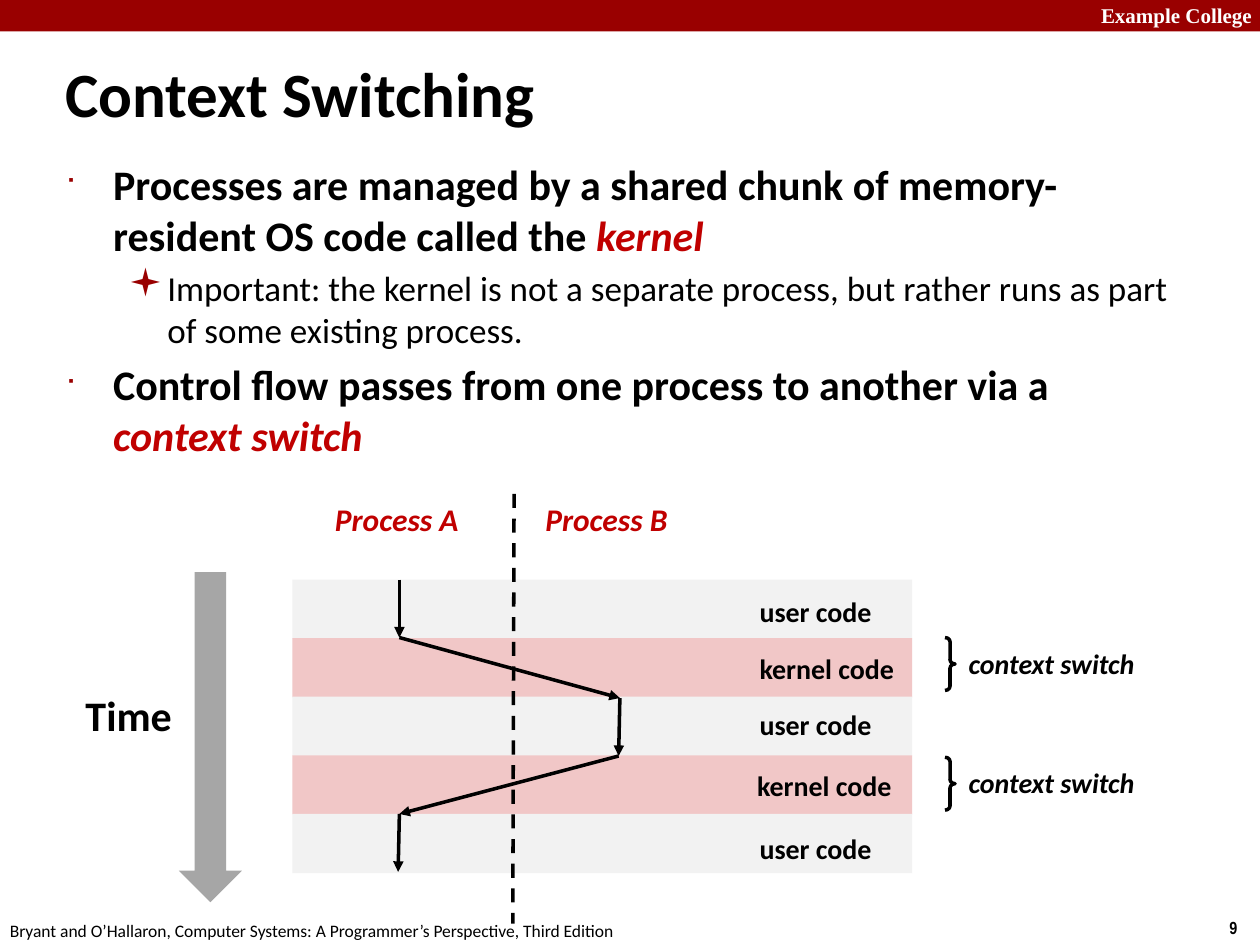
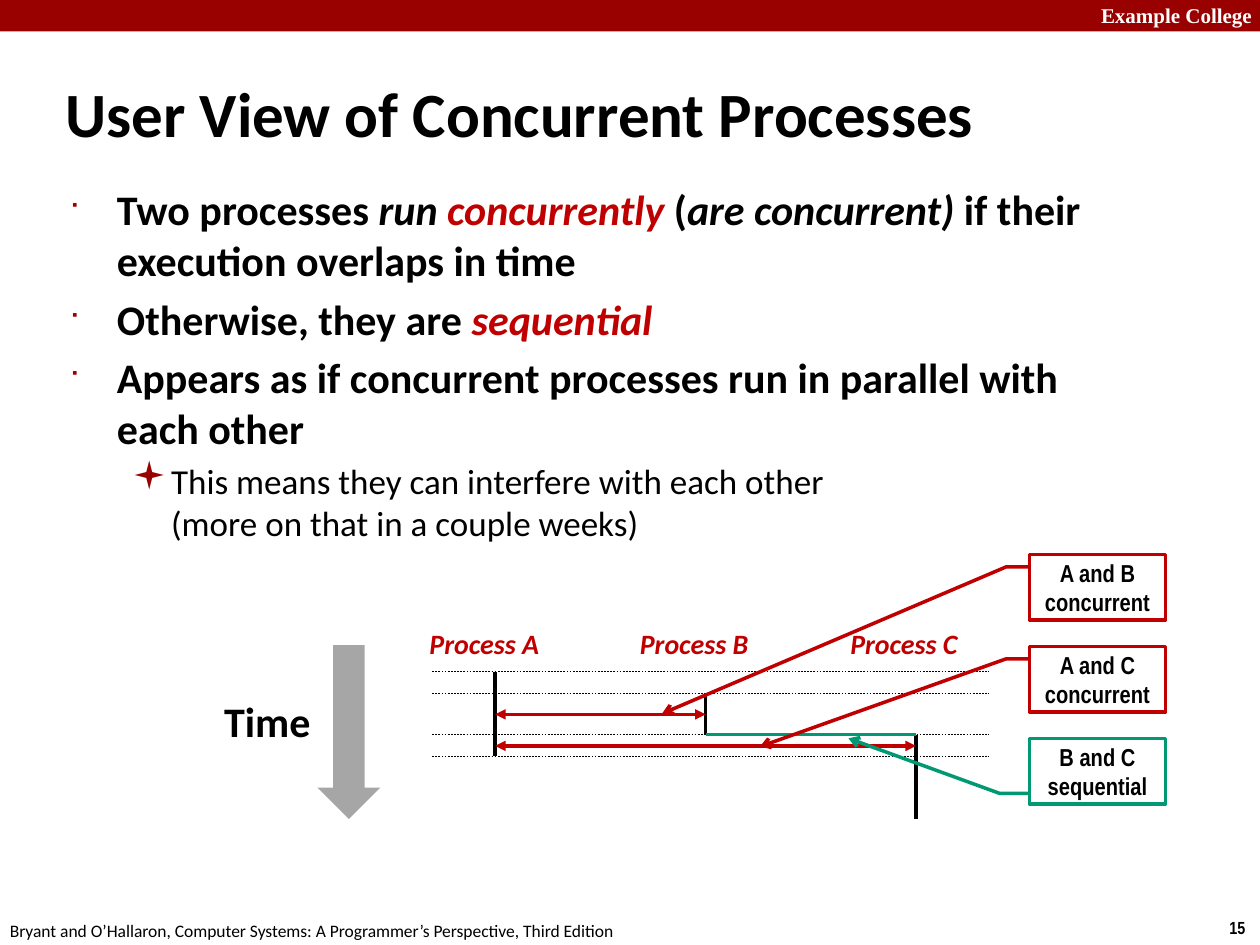
from itertools import pairwise

from lxml.etree import SubElement
from pptx import Presentation
from pptx.dml.color import RGBColor
from pptx.enum.dml import MSO_LINE as Dash
from pptx.enum.shapes import MSO_CONNECTOR as Connector, MSO_SHAPE as Preset
from pptx.enum.text import MSO_ANCHOR as Anchor, MSO_AUTO_SIZE as AutoSize, PP_ALIGN as Align
from pptx.oxml.ns import qn
from pptx.util import Inches, Pt

BLACK, WHITE, BAND, RED = "000000", "FFFFFF", "990000", "C00000"
GREEN, ARROW_GREY, USER_GREY, KERNEL_PINK = "009973", "A6A6A6", "F2F2F2", "F1C7C7"
BODY_FONT, LABEL_FONT, HEADER_FONT = "Calibri", "Arial Narrow", "Times New Roman"
HEADER = "Example College"
FOOTER = "Bryant and O’Hallaron, Computer Systems: A Programmer’s Perspective, Third Edition"
PLAIN, ITALIC, KEY = (BLACK, False), (BLACK, True), (RED, True)
BULLETS = [
    dict(char="■", scale=60, size=24, bold=True, margin=0.38, hang=0.38),
    dict(char="▪", scale=110, size=20, bold=False, margin=0.81, hang=0.31),
]


def color(value):
    return RGBColor.from_string(value)


class Deck:
    def __init__(self):
        self.deck = Presentation()
        self.deck.slide_width, self.deck.slide_height = Inches(10), Inches(7.5)
        self.page = None

    def new_page(self, number, title, title_box):
        self.page = self.deck.slides.add_slide(self.deck.slide_layouts[6])
        self.shape(Preset.RECTANGLE, (0, 0, 10, 0.25), fill=BAND)
        self.label(HEADER, (8.64, -0.03, 1.43, 0.3), 12, WHITE, font=HEADER_FONT)
        self.label(str(number), (9.66, 7.23, 0.34, 0.27), 10, font=LABEL_FONT)
        self.label(FOOTER, (-0.02, 7.25, 5.08, 0.27), 10, bold=False)
        frame = self.text_frame(title_box, wrap=True)
        frame.vertical_anchor = Anchor.MIDDLE
        self.span(frame.paragraphs[0], title, 36)

    def text_frame(self, place, wrap):
        box = self.page.shapes.add_textbox(*map(Inches, place))
        frame = box.text_frame
        frame.word_wrap = wrap
        frame.auto_size = AutoSize.NONE if wrap else AutoSize.SHAPE_TO_FIT_TEXT
        return frame

    def span(self, para, text, size, ink=BLACK, bold=True, italic=False, font=BODY_FONT):
        span = para.add_run()
        span.text = text
        span.font.name, span.font.size = font, Pt(size)
        span.font.bold, span.font.italic = bold, italic
        span.font.color.rgb = color(ink)

    def label(self, text, place, size, ink=BLACK, **style):
        frame = self.text_frame(place, wrap=False)
        self.span(frame.paragraphs[0], text, size, ink, **style)

    def bullets(self, place, items):
        frame = self.text_frame(place, wrap=True)
        for index, (level, spans) in enumerate(items):
            para = frame.add_paragraph() if index else frame.paragraphs[0]
            style = BULLETS[level]
            para.level = level
            para.space_before = Pt(style["size"] * 0.2)
            self.bullet_mark(para, style)
            for text, (ink, italic) in spans:
                for line, part in enumerate(text.split("\n")):
                    if line:
                        para.add_line_break()
                    self.span(para, part, style["size"], ink, style["bold"], italic)

    def bullet_mark(self, para, style):
        props = para._p.get_or_add_pPr()
        props.set("marL", str(Inches(style["margin"])))
        props.set("indent", str(-Inches(style["hang"])))
        ink = SubElement(props, qn("a:buClr"))
        SubElement(ink, qn("a:srgbClr"), val=BAND)
        SubElement(props, qn("a:buSzPct"), val=str(style["scale"] * 1000))
        SubElement(props, qn("a:buFont"), typeface="Wingdings")
        SubElement(props, qn("a:buChar"), char=style["char"])

    def shape(self, preset, place, fill=None, line=None, adjust=()):
        shape = self.page.shapes.add_shape(preset, *map(Inches, place))
        shape.shadow.inherit = False
        for index, value in enumerate(adjust):
            shape.adjustments[index] = value
        if fill:
            shape.fill.solid()
            shape.fill.fore_color.rgb = color(fill)
        else:
            shape.fill.background()
        if line:
            shape.line.color.rgb = color(line)
            shape.line.width = Pt(2)
        else:
            shape.line.fill.background()
        return shape

    def callout(self, text, place, ink, adjust):
        box = self.shape(Preset.LINE_CALLOUT_2, place, line=ink, adjust=adjust)
        SubElement(box.line._get_or_add_ln(), qn("a:tailEnd"), type="arrow")
        frame = box.text_frame
        frame.word_wrap = True
        frame.vertical_anchor = Anchor.MIDDLE
        para = frame.paragraphs[0]
        para.alignment = Align.CENTER
        self.span(para, text, 14, font=LABEL_FONT)

    def line(self, start, end, ink=BLACK, width=2, dashed=False, ends=()):
        line = self.page.shapes.add_connector(Connector.STRAIGHT, *map(Inches, start + end))
        line.line.color.rgb = color(ink)
        line.line.width = Pt(width)
        if dashed:
            line.line.dash_style = Dash.DASH
        for end_name in ends:
            SubElement(line.line._get_or_add_ln(), qn(f"a:{end_name}"), type="triangle")
        SubElement(line._element.spPr, qn("a:effectLst"))

    def time_arrow(self, label_left, label_top, arrow_top, height):
        self.label("Time", (label_left, label_top, 0.89, 0.5), 24)
        self.shape(Preset.DOWN_ARROW, (label_left + 0.84, arrow_top, 0.5, height), ARROW_GREY)


def context_switching(deck):
    deck.new_page(9, "Context Switching", (0.42, 0.42, 6.39, 0.63))
    deck.bullets((0.42, 1.21, 9.07, 2.79), [
        (0, [("Processes are managed by a shared chunk of memory-resident OS code called the ", PLAIN),
             ("kernel", KEY)]),
        (1, [("Important: the kernel is not a separate process, but rather runs as part "
              "of some existing process.", PLAIN)]),
        (0, [("Control flow passes from one process to another via a ", PLAIN),
             ("context switch", KEY)]),
    ])
    label_tops = (4.67, 5.12, 5.57, 6.05, 6.55)
    for row in range(5):
        fill = KERNEL_PINK if row % 2 else USER_GREY
        deck.shape(Preset.RECTANGLE, (2.32, 4.6 + row * 0.465, 4.92, 0.47), fill)
    for row, top in enumerate(label_tops):
        mode = "kernel" if row % 2 else "user"
        left = 5.91 if row == 3 else 5.93
        deck.label(f"{mode} code", (left, top, 1.28, 0.37), 16)
    for name, left in (("A", 2.56), ("B", 4.23)):
        deck.label(f"Process {name}", (left, 3.92, 1.2, 0.4), 18, RED, italic=True)
    deck.line((4.08, 3.92), (4.07, 7.33), dashed=True)
    for top in (5.06, 6.01):
        deck.shape(Preset.RIGHT_BRACE, (7.5, top, 0.08, 0.42), line=BLACK, adjust=(0.417, 0.5))
        deck.label("context switch", (7.59, top + 0.02, 1.54, 0.37), 16, italic=True)
    deck.time_arrow(0.58, 5.42, 4.54, 2.62)
    control_flow = [(3.17, 4.6), (3.17, 5.06), (4.92, 5.54), (4.91, 6), (3.17, 6.46), (3.16, 6.92)]
    for start, end in pairwise(control_flow):
        deck.line(start, end, ends=["tailEnd"])


def concurrent_processes(deck):
    deck.new_page(15, "User View of Concurrent Processes", (0.42, 0.58, 9.25, 0.63))
    deck.bullets((0.45, 1.41, 8.64, 2.18), [
        (0, [("Two processes ", PLAIN), ("run ", ITALIC), ("concurrently", KEY), (" (", PLAIN),
             ("are concurrent)", ITALIC), (" if their execution overlaps in time", PLAIN)]),
        (0, [("Otherwise, they are ", PLAIN), ("sequential", KEY)]),
        (0, [("Appears as if concurrent processes run in parallel with each other", PLAIN)]),
        (1, [("This means they can interfere with each other\n(more on that in a couple weeks)", PLAIN)]),
    ])
    deck.time_arrow(1.68, 5.47, 5.12, 1.38)
    for top in (5.33, 5.5, 5.83, 6):
        deck.line((3.43, top), (7.85, top), width=0.25, dashed=True)
    lifetimes = [("A", 5.33, 6), ("B", 5.5, 5.83), ("C", 5.83, 6.5)]
    for index, (name, start, end) in enumerate(lifetimes):
        left = 3.93 + index * 1.67
        deck.label(f"Process {name}", (left - 0.62, 4.92, 1.09, 0.37), 16, RED, italic=True)
        deck.line((left, start), (left, end))
    for right, top in ((5.6, 5.67), (7.27, 5.92)):
        deck.line((3.93, top), (right, top), RED, ends=["headEnd", "tailEnd"])
    deck.line((5.6, 5.83), (7.27, 5.83), GREEN, 1.5)
    callouts = [
        ("A and B concurrent", RED, (0.19, -0.01, 0.19, -0.17, 2.43, -2.7)),
        ("A and C concurrent", RED, (0.19, -0.01, 0.19, -0.17, 1.53, -1.98)),
        ("B and C sequential", GREEN, (0.84, 0, 0.84, -0.22, 0, -1.33)),
    ]
    for index, (text, ink, adjust) in enumerate(callouts):
        deck.callout(text, (8.17, 4.4 + index * 0.73, 1.08, 0.52), ink, adjust)


def main():
    deck = Deck()
    context_switching(deck)
    concurrent_processes(deck)
    deck.deck.save("out.pptx")


if __name__ == "__main__":
    main()
